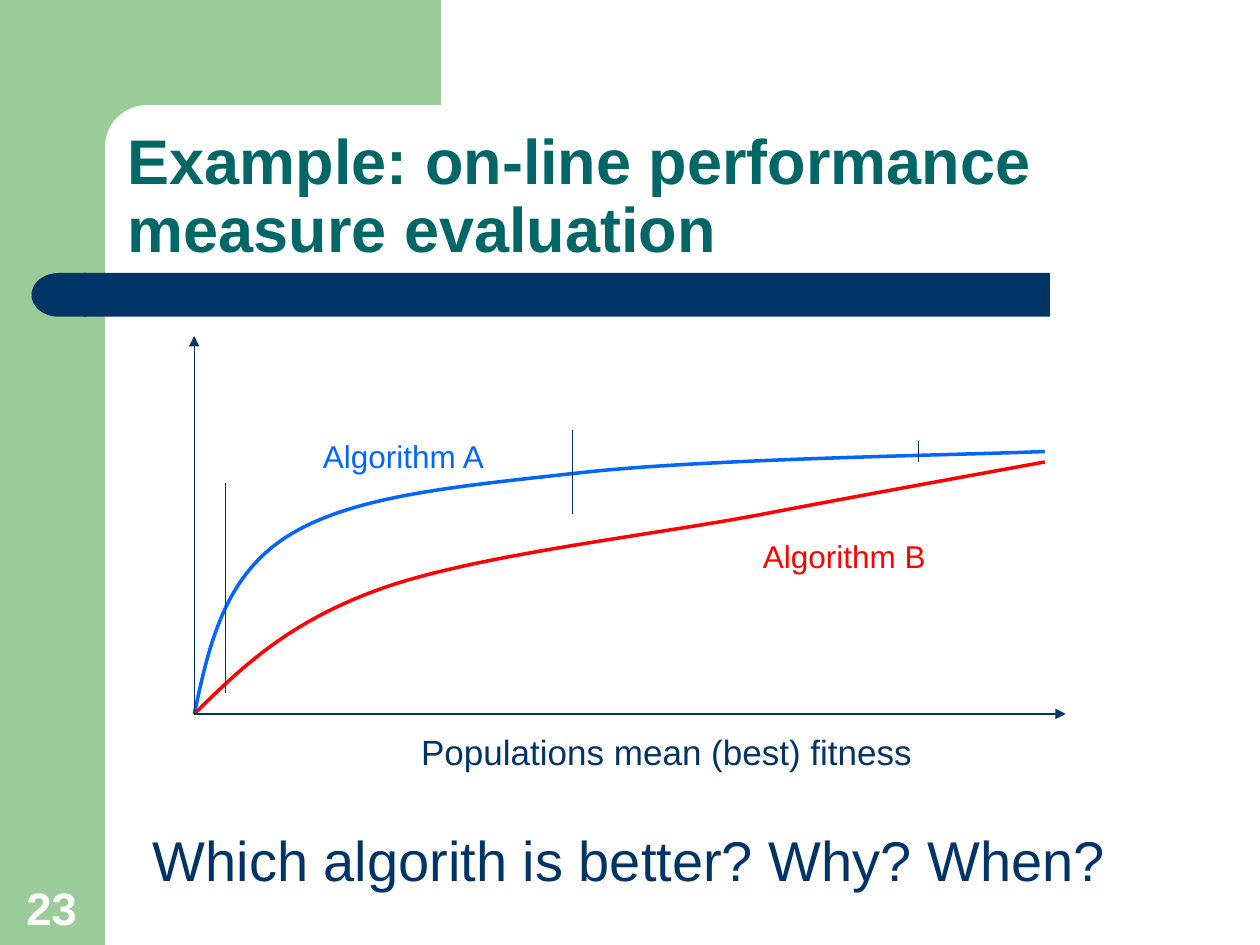
from typing import NamedTuple

import pptx
import pptx.util
from lxml import etree
from pptx.dml.color import RGBColor
from pptx.enum.shapes import MSO_CONNECTOR, MSO_SHAPE
from pptx.enum.text import MSO_ANCHOR, MSO_AUTO_SIZE, PP_ALIGN
from pptx.oxml.ns import qn

Pt = pptx.util.Pt
Point = tuple[float, float]

GREEN = RGBColor(0x99, 0xCC, 0x99)
WHITE = RGBColor(0xFF, 0xFF, 0xFF)
NAVY = RGBColor(0x00, 0x33, 0x66)
TEAL = RGBColor(0x00, 0x66, 0x66)
BLUE = RGBColor(0x00, 0x66, 0xFF)
RED = RGBColor(0xFF, 0x00, 0x00)

ORIGIN = (111, 408)


class Box(NamedTuple):
    left: float
    top: float
    width: float
    height: float


class Block(NamedTuple):
    kind: MSO_SHAPE
    box: Box
    color: RGBColor
    radius: float | None = None
    rotation: float = 0


class Label(NamedTuple):
    text: str
    box: Box
    size: float
    color: RGBColor
    align: PP_ALIGN = PP_ALIGN.CENTER
    anchor: MSO_ANCHOR = MSO_ANCHOR.TOP
    bold: bool = False
    wrap: bool = False
    spacing: float | None = None


class Line(NamedTuple):
    start: Point
    end: Point
    arrow: bool = False


class Curve(NamedTuple):
    color: RGBColor
    points: list[Point]  # start, then two controls and an end per segment


BLOCKS = [
    Block(MSO_SHAPE.RECTANGLE, Box(0, 0, 60, 540), GREEN),
    Block(MSO_SHAPE.RECTANGLE, Box(54, 0, 198, 84), GREEN),
    Block(MSO_SHAPE.ROUNDED_RECTANGLE, Box(60, 60, 402, 48), WHITE, radius=0.5),
    Block(MSO_SHAPE.ROUNDED_RECTANGLE, Box(48, 156, 552, 25), NAVY, radius=0),
    Block(MSO_SHAPE.FLOWCHART_DELAY, Box(18, 156, 31, 25), NAVY, rotation=180),
]

CURVES = [
    Curve(BLUE, [ORIGIN, (119.5, 368.5), (128, 329), (165, 306),
                 (202, 283), (261, 278), (333, 270),
                 (405, 262), (553, 260), (597, 258)]),
    Curve(RED, [ORIGIN, (138, 381.5), (165, 355), (219, 336),
                (273, 317), (372, 306), (435, 294),
                (498, 282), (570, 269), (597, 264)]),
]

LINES = [
    Line(ORIGIN, (609, 408), arrow=True),
    Line(ORIGIN, (111, 192), arrow=True),
    Line((327, 246), (327, 294)),
    Line((525, 252), (525, 264)),
    Line((129, 396), (129, 276)),
]

LABELS = [
    Label("Example: on-line performance measure evaluation", Box(66, 65.5, 630, 90),
          36, TEAL, PP_ALIGN.LEFT, MSO_ANCHOR.BOTTOM, bold=True, wrap=True, spacing=0.9),
    Label("Populations mean (best) fitness", Box(66, 414, 630, 38), 20, NAVY, wrap=True),
    Label("Which algorith is better? Why? When?", Box(79, 468, 561.5, 46), 32, NAVY),
    Label("Algorithm B", Box(428, 303.5, 109, 29), 18, RED),
    Label("Algorithm A", Box(176, 246, 109, 29), 18, BLUE),
    Label("23", Box(8, 499, 46, 38.5), 26, WHITE,
          PP_ALIGN.LEFT, MSO_ANCHOR.BOTTOM, bold=True, wrap=True),
]


def add_block(s, block: Block) -> None:
    sp = s.shapes.add_shape(block.kind, *map(Pt, block.box))
    sp.shadow.inherit = False
    sp.fill.solid()
    sp.fill.fore_color.rgb = block.color
    sp.line.fill.background()
    sp.rotation = block.rotation
    if block.radius is not None:
        sp.adjustments[0] = block.radius


def add_curve(s, curve: Curve) -> None:
    start, *rest = curve.points
    builder = s.shapes.build_freeform(*map(Pt, start))
    builder.add_line_segments([(Pt(x), Pt(y)) for x, y in rest], close=False)
    sp = builder.convert_to_shape()
    # Join every three straight steps into one Bezier segment
    steps = list(sp._element.iter(qn("a:lnTo")))
    for i in range(0, len(steps), 3):
        bezier = etree.Element(qn("a:cubicBezTo"))
        steps[i].addprevious(bezier)
        for step in steps[i:i + 3]:
            bezier.append(step[0])
            step.getparent().remove(step)
    sp.shadow.inherit = False
    sp.fill.background()
    sp.line.color.rgb = curve.color
    sp.line.width = Pt(2)


def add_line(s, line: Line) -> None:
    cx = s.shapes.add_connector(MSO_CONNECTOR.STRAIGHT, *map(Pt, line.start + line.end))
    cx.line.color.rgb = NAVY
    cx.line.width = Pt(0.75)
    if line.arrow:
        etree.SubElement(cx.line._get_or_add_ln(), qn("a:tailEnd"), type="triangle")
    etree.SubElement(cx._element.spPr, qn("a:effectLst"))


def add_label(s, label: Label) -> None:
    tf = s.shapes.add_textbox(*map(Pt, label.box)).text_frame
    tf.word_wrap = label.wrap
    tf.auto_size = MSO_AUTO_SIZE.NONE if label.wrap else MSO_AUTO_SIZE.SHAPE_TO_FIT_TEXT
    tf.vertical_anchor = label.anchor
    p = tf.paragraphs[0]
    p.text = label.text
    p.alignment = label.align
    p.line_spacing = label.spacing
    p.font.name = "Arial"
    p.font.size = Pt(label.size)
    p.font.bold = label.bold
    p.font.color.rgb = label.color


def main() -> None:
    prs = pptx.Presentation()
    prs.slide_width, prs.slide_height = Pt(720), Pt(540)
    s = prs.slides.add_slide(prs.slide_layouts[6])

    # Background frame and title bar
    for block in BLOCKS:
        add_block(s, block)
    # Fitness curves, axes and markers
    for curve in CURVES:
        add_curve(s, curve)
    for line in LINES:
        add_line(s, line)
    # Title, captions and slide number
    for label in LABELS:
        add_label(s, label)

    prs.save("out.pptx")


if __name__ == "__main__":
    main()
